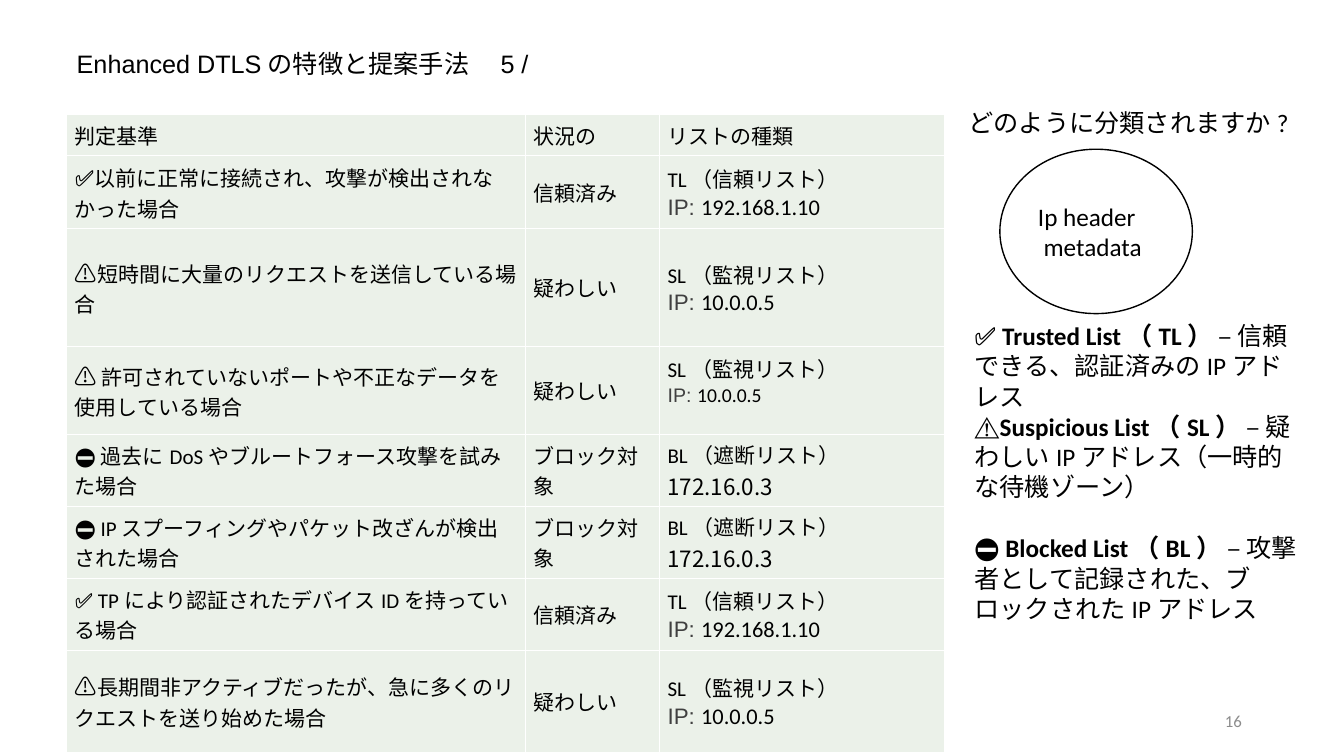
from dataclasses import dataclass

import lxml.etree
import pptx
import pptx.dml.color
import pptx.enum.shapes
import pptx.enum.text
import pptx.oxml.ns
import pptx.util

Pt = pptx.util.Pt
RGB = pptx.dml.color.RGBColor.from_string
Align = pptx.enum.text.PP_ALIGN
Anchor = pptx.enum.text.MSO_ANCHOR


@dataclass(frozen=True)
class Theme:
    ink: str = "000000"
    label: str = "404040"
    muted: str = "8C8C8C"
    paper: str = "FFFFFF"
    cell: str = "EBF1E9"
    body_font: str = "Calibri"
    heading_font: str = "Arial"
    address_font: str = "Noto Sans CJK JP"
    large: int = 18
    medium: int = 16
    table: int = 15
    small: int = 14
    footer: int = 12


THEME = Theme()

# Table content: criterion mark, criterion, status, list, address
COLUMNS = [327.6, 95.8, 203.7]
ROWS = [29.5, 52.2, 84.2, 62.8, 51.4, 51.4, 51.4, 73]
HEADINGS = ["判定基準", "状況の", "リストの種類"]
TRUSTED = ("信頼済み", "TL（信頼リスト）", "192.168.1.10")
SUSPICIOUS = ("疑わしい", "SL（監視リスト）", "10.0.0.5")
BLOCKED = ("ブロック対象", "BL（遮断リスト）", "172.16.0.3")
CRITERIA = [
    ("✅", "以前に正常に接続され、攻撃が検出されなかった場合", TRUSTED),
    ("⚠️", "短時間に大量のリクエストを送信している場合", SUSPICIOUS),
    ("⚠️", " 許可されていないポートや不正なデータを使用している場合", SUSPICIOUS),
    ("", "⛔ 過去にDoSやブルートフォース攻撃を試みた場合", BLOCKED),
    ("", "⛔ IPスプーフィングやパケット改ざんが検出された場合", BLOCKED),
    ("", "✅ TPにより認証されたデバイスIDを持っている場合", TRUSTED),
    ("⚠️", "長期間非アクティブだったが、急に多くのリクエストを送り始めた場合", SUSPICIOUS),
]
SMALL_ADDRESS_ROW = 3

# Mark, list name, explanation
LISTS = [
    ("✅ ", "Trusted List（TL）", " – 信頼できる、認証済みのIPアドレス"),
    ("⚠️", "Suspicious List（SL）", " – 疑わしいIPアドレス（一時的な待機ゾーン）"),
    ("⛔ ", "Blocked List（BL）", " – 攻撃者として記録された、ブロックされたIPアドレス"),
]


def set_font(font, size=None, name=None, color=None, bold=None):
    if size:
        font.size = Pt(size)
    if name:
        font.name = name
    if color:
        font.color.rgb = RGB(color)
    if bold is not None:
        font.bold = bold


def write(frame, paragraphs, size, name=THEME.body_font, color=THEME.ink, align=Align.LEFT):
    """Each paragraph is a list of (text, font overrides)."""
    for index, runs in enumerate(paragraphs):
        paragraph = frame.add_paragraph() if index else frame.paragraphs[0]
        paragraph.alignment = align
        set_font(paragraph.font, size, name, color)
        for text, overrides in runs:
            run = paragraph.add_run()
            run.text = text
            if overrides:
                set_font(run.font, **overrides)


def add_text(slide, box, paragraphs, size, **style):
    frame = slide.shapes.add_textbox(*map(Pt, box)).text_frame
    frame.word_wrap = True
    write(frame, paragraphs, size, **style)
    return frame


def add_borders(cell):
    properties = cell._tc.get_or_add_tcPr()
    qn = pptx.oxml.ns.qn
    for side in ("a:lnL", "a:lnR", "a:lnT", "a:lnB"):
        line = lxml.etree.SubElement(properties, qn(side), w=str(Pt(1)))
        fill = lxml.etree.SubElement(line, qn("a:solidFill"))
        lxml.etree.SubElement(fill, qn("a:srgbClr"), val=THEME.paper)


def fill_cell(cell, paragraphs):
    add_borders(cell)
    cell.fill.solid()
    cell.fill.fore_color.rgb = RGB(THEME.cell)
    cell.vertical_anchor = Anchor.MIDDLE
    cell.margin_left = cell.margin_right = Pt(5.9)
    cell.margin_top = cell.margin_bottom = Pt(2.9)
    write(cell.text_frame, paragraphs, THEME.table)


def address_runs(address, blocked, size):
    if blocked:
        return [(address, dict(size=size, name=THEME.address_font))]
    label = dict(size=size, name=THEME.heading_font, color=THEME.label)
    return [("IP: ", label), (address, dict(size=size))]


def add_criteria_table(slide, left, top):
    table = slide.shapes.add_table(
        len(ROWS), len(COLUMNS), Pt(left), Pt(top), Pt(sum(COLUMNS)), Pt(sum(ROWS))
    ).table
    table.first_row = table.horz_banding = False
    for column, width in zip(table.columns, COLUMNS):
        column.width = Pt(width)
    for row, height in zip(table.rows, ROWS):
        row.height = Pt(height)
    for column, heading in enumerate(HEADINGS):
        fill_cell(table.cell(0, column), [[(heading, None)]])
    for row, (mark, criterion, kind) in enumerate(CRITERIA, 1):
        status, list_name, address = kind
        size = THEME.small if row == SMALL_ADDRESS_ROW else THEME.medium
        marked = [(mark, dict(size=THEME.medium))] if mark else []
        fill_cell(table.cell(row, 0), [marked + [(criterion, None)]])
        fill_cell(table.cell(row, 1), [[(status, None)]])
        fill_cell(table.cell(row, 2),
                  [[(list_name, None)], address_runs(address, kind is BLOCKED, size)])
    table.cell(SMALL_ADDRESS_ROW, 2).margin_bottom = Pt(17)


def add_ellipse(slide, box, lines):
    ellipse = slide.shapes.add_shape(pptx.enum.shapes.MSO_SHAPE.OVAL, *map(Pt, box))
    ellipse.shadow.inherit = False
    ellipse.fill.solid()
    ellipse.fill.fore_color.rgb = RGB(THEME.paper)
    ellipse.line.color.rgb = RGB(THEME.ink)
    ellipse.line.width = Pt(1)
    ellipse.text_frame.vertical_anchor = Anchor.MIDDLE
    write(ellipse.text_frame, [[(line, None)] for line in lines], THEME.large)


def main():
    deck = pptx.Presentation()
    deck.slide_width, deck.slide_height = Pt(960), Pt(540)
    slide = deck.slides.add_slide(deck.slide_layouts[6])

    # Criteria table
    add_criteria_table(slide, 47.6, 81.7)

    # Explanation of the three lists
    legend = add_text(
        slide, (689, 225.4, 246.2, 225.4),
        [[(mark, None), (name, dict(bold=True)), (meaning, None)]
         for mark, name, meaning in LISTS],
        THEME.large)
    legend.paragraphs[-1].space_before = Pt(22)

    # Title
    title = add_text(slide, (33.8, 20.2, 480, 36.7),
                     [[("Enhanced DTLSの特徴と提案手法　5 /", None)]],
                     THEME.large, name=THEME.heading_font)
    title.margin_left = Pt(21)
    title.paragraphs[0].line_spacing = 1.5

    # Classification question and its input
    add_ellipse(slide, (714.2, 106.6, 137.5, 117.4), ["Ip header", " metadata"])
    add_text(slide, (684.7, 73.4, 480, 28.8),
             [[("どのように分類されますか?", None)]], THEME.large)

    # Slide number
    number = add_text(slide, (678.2, 500.4, 216, 28.8), [[("16", None)]],
                      THEME.footer, color=THEME.muted, align=Align.RIGHT)
    number.vertical_anchor = Anchor.MIDDLE

    deck.save("out.pptx")


if __name__ == "__main__":
    main()
